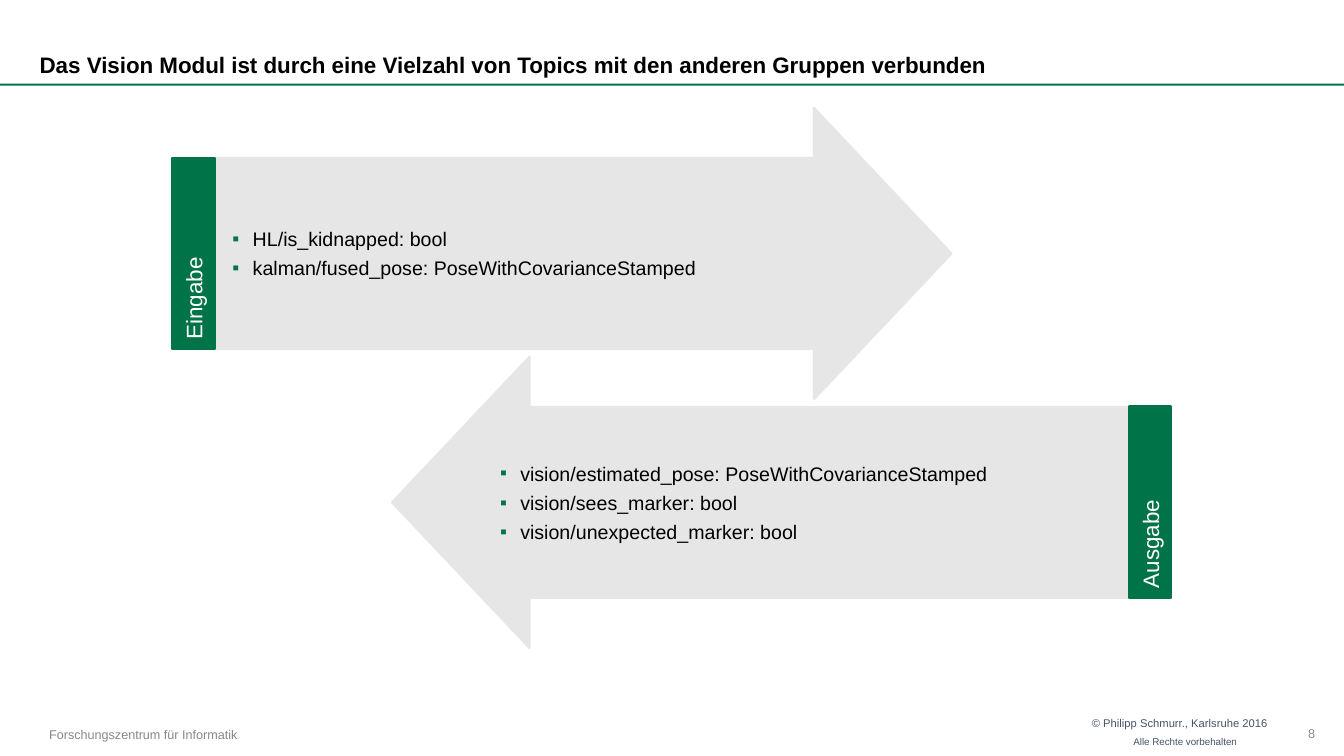
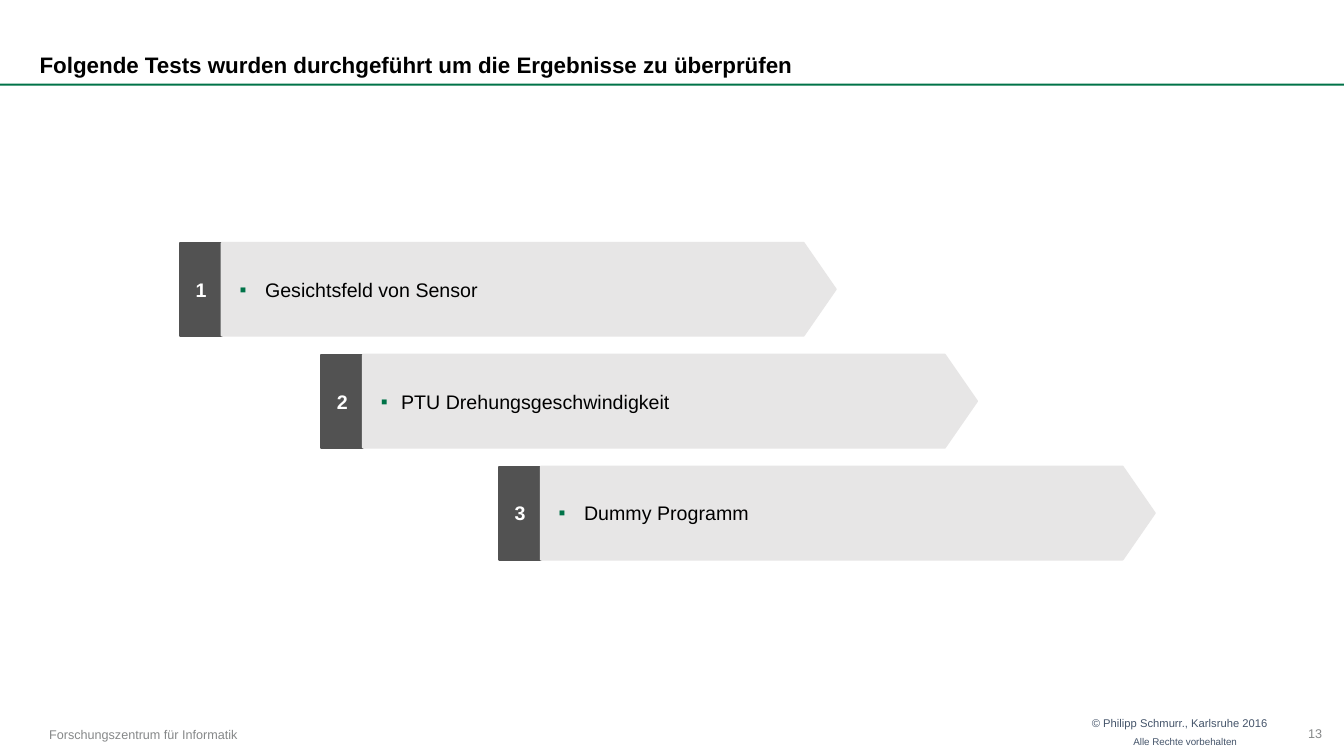
from lxml import etree
from pptx import Presentation
from pptx.dml.color import RGBColor
from pptx.enum.shapes import MSO_SHAPE
from pptx.enum.text import MSO_ANCHOR, PP_ALIGN
from pptx.oxml.ns import qn
from pptx.util import Cm, Pt

RECTANGLE = MSO_SHAPE.RECTANGLE
RIGHT_ARROW = MSO_SHAPE.RIGHT_ARROW
LEFT_ARROW = MSO_SHAPE.LEFT_ARROW
PENTAGON = MSO_SHAPE.PENTAGON
TOP, MIDDLE, BOTTOM = MSO_ANCHOR.TOP, MSO_ANCHOR.MIDDLE, MSO_ANCHOR.BOTTOM
LEFT, CENTER, RIGHT = PP_ALIGN.LEFT, PP_ALIGN.CENTER, PP_ALIGN.RIGHT

COLORS = {
    "green": "007348",
    "light": "E7E6E6",
    "dark": "525252",
    "white": "FFFFFF",
    "black": "000000",
    "footer": "868889",
    "notice": "44546A",
}
FONT = "Arial"
SLIDE_WIDTH, SLIDE_HEIGHT = 33.87, 19.05
TITLE_HEIGHT = 2.11
ARROW_WIDTH, ARROW_HEIGHT = 18.57, 7.34
TAG_WIDTH, TAG_HEIGHT = 1.07, 4.83
BADGE_WIDTH, BAR_WIDTH, BAR_HEIGHT = 1.05, 15.47, 2.34
BULLET_HANG, WIDE_HANG = 0.51, 0.64


def color(name):
    return RGBColor.from_string(COLORS[name])


class Deck:
    def __init__(self):
        self.presentation = Presentation()
        self.presentation.slide_width = Cm(SLIDE_WIDTH)
        self.presentation.slide_height = Cm(SLIDE_HEIGHT)
        self.slide = None

    def add_slide(self, title, number):
        blank_layout = self.presentation.slide_layouts[6]
        self.slide = self.presentation.slides.add_slide(blank_layout)
        self.box(RECTANGLE, 0, TITLE_HEIGHT, SLIDE_WIDTH, 0.05, "green", outlined=False)
        self.label("© Philipp Schmurr., Karlsruhe 2016", 27.2, 17.93, 5, 1.12, 8,
                   "notice", RIGHT, TOP)
        self.label("Alle Rechte vorbehalten", 27.99, 18.42, 3.43, 0.63, 7,
                   "notice", RIGHT, TOP)
        self.label("Forschungszentrum für Informatik", 0.99, 17.96, 5.41, 1.09, 9, "footer")
        self.label(str(number), 32.72, 17.93, 1.14, 1.12, 9, "footer")
        self.title(title)

    def text_run(self, paragraph, text, size, tone, bold=False):
        run = paragraph.add_run()
        run.text = text
        run.font.name = FONT
        run.font.size = Pt(size)
        run.font.bold = bold
        run.font.color.rgb = color(tone)

    def label(self, text, left, top, width, height, size, tone,
              align=LEFT, anchor=MIDDLE, bold=False):
        shape = self.slide.shapes.add_textbox(Cm(left), Cm(top), Cm(width), Cm(height))
        frame = shape.text_frame
        frame.word_wrap = True
        frame.vertical_anchor = anchor
        frame.paragraphs[0].alignment = align
        self.text_run(frame.paragraphs[0], text, size, tone, bold)
        return frame

    def title(self, text):
        frame = self.label(text, 0, 0, 27.86, TITLE_HEIGHT, 16, "black",
                           anchor=BOTTOM, bold=True)
        frame.margin_left = Cm(1)
        frame.paragraphs[0].line_spacing = 0.9

    def box(self, kind, left, top, width, height, fill, adjustments=(), outlined=True):
        shape = self.slide.shapes.add_shape(kind, Cm(left), Cm(top), Cm(width), Cm(height))
        shape.shadow.inherit = False
        shape.fill.solid()
        shape.fill.fore_color.rgb = color(fill)
        if outlined:
            shape.line.color.rgb = color(fill)
            shape.line.width = Pt(1.5)
        else:
            shape.line.fill.background()
        for index, value in enumerate(adjustments):
            shape.adjustments[index] = value
        shape.text_frame.word_wrap = True
        shape.text_frame.vertical_anchor = MIDDLE
        return shape

    def bullets(self, shape, lines, hang=BULLET_HANG):
        frame = shape.text_frame
        for index, line in enumerate(lines):
            paragraph = frame.add_paragraph() if index else frame.paragraphs[0]
            paragraph.alignment = LEFT
            paragraph.space_before = paragraph.space_after = Pt(2)
            properties = paragraph._p.get_or_add_pPr()
            properties.set("marL", str(Cm(0.2 + hang)))
            properties.set("indent", str(-Cm(hang)))
            bullet_color = etree.SubElement(properties, qn("a:buClr"))
            etree.SubElement(bullet_color, qn("a:srgbClr"), val=COLORS["green"])
            etree.SubElement(properties, qn("a:buFont"), typeface=FONT)
            etree.SubElement(properties, qn("a:buChar"), char="▪")
            self.text_run(paragraph, line, 14, "black")

    def arrow(self, kind, left, top, lines):
        shape = self.box(kind, left, top, ARROW_WIDTH, ARROW_HEIGHT, "light", (0.656, 0.472))
        self.bullets(shape, lines)

    def vertical_tag(self, text, left, top):
        shape = self.box(RECTANGLE, left, top, TAG_WIDTH, TAG_HEIGHT, "green")
        shape.text_frame._txBody.bodyPr.set("vert", "vert270")
        paragraph = shape.text_frame.paragraphs[0]
        paragraph.alignment = LEFT
        self.text_run(paragraph, text, 16, "white")

    def numbered_bar(self, number, text, left, top, hang):
        badge = self.box(RECTANGLE, left, top, BADGE_WIDTH, BAR_HEIGHT, "dark")
        badge.text_frame.word_wrap = False
        paragraph = badge.text_frame.paragraphs[0]
        paragraph.alignment = CENTER
        self.text_run(paragraph, str(number), 14, "white", bold=True)
        bar = self.box(PENTAGON, left + BADGE_WIDTH, top, BAR_WIDTH, BAR_HEIGHT,
                       "light", (0.346,))
        self.bullets(bar, [text], hang)


def topics_slide(deck):
    deck.add_slide("Das Vision Modul ist durch eine Vielzahl von Topics "
                   "mit den anderen Gruppen verbunden", 8)
    input_left, input_top = 5.41, 2.72
    output_left, output_top = 9.88, 8.99
    tag_offset = (ARROW_HEIGHT - TAG_HEIGHT) / 2
    deck.arrow(LEFT_ARROW, output_left, output_top, [
        "vision/estimated_pose: PoseWithCovarianceStamped",
        "vision/sees_marker: bool",
        "vision/unexpected_marker: bool",
    ])
    deck.arrow(RIGHT_ARROW, input_left, input_top, [
        "HL/is_kidnapped: bool",
        "kalman/fused_pose: PoseWithCovarianceStamped",
    ])
    deck.vertical_tag("Eingabe", input_left - TAG_WIDTH, input_top + tag_offset)
    deck.vertical_tag("Ausgabe", output_left + ARROW_WIDTH, output_top + tag_offset)


def tests_slide(deck):
    deck.add_slide("Folgende Tests wurden durchgeführt um die Ergebnisse zu überprüfen", 13)
    tests = [
        ("Gesichtsfeld von Sensor", 4.54, WIDE_HANG),
        ("PTU Drehungsgeschwindigkeit", 8.1, BULLET_HANG),
        ("Dummy Programm", 12.58, WIDE_HANG),
    ]
    first_top, pitch = 6.12, 2.82
    for index, (text, left, hang) in enumerate(tests):
        deck.numbered_bar(index + 1, text, left, first_top + index * pitch, hang)


def main():
    deck = Deck()
    topics_slide(deck)
    tests_slide(deck)
    deck.presentation.save("out.pptx")


if __name__ == "__main__":
    main()
